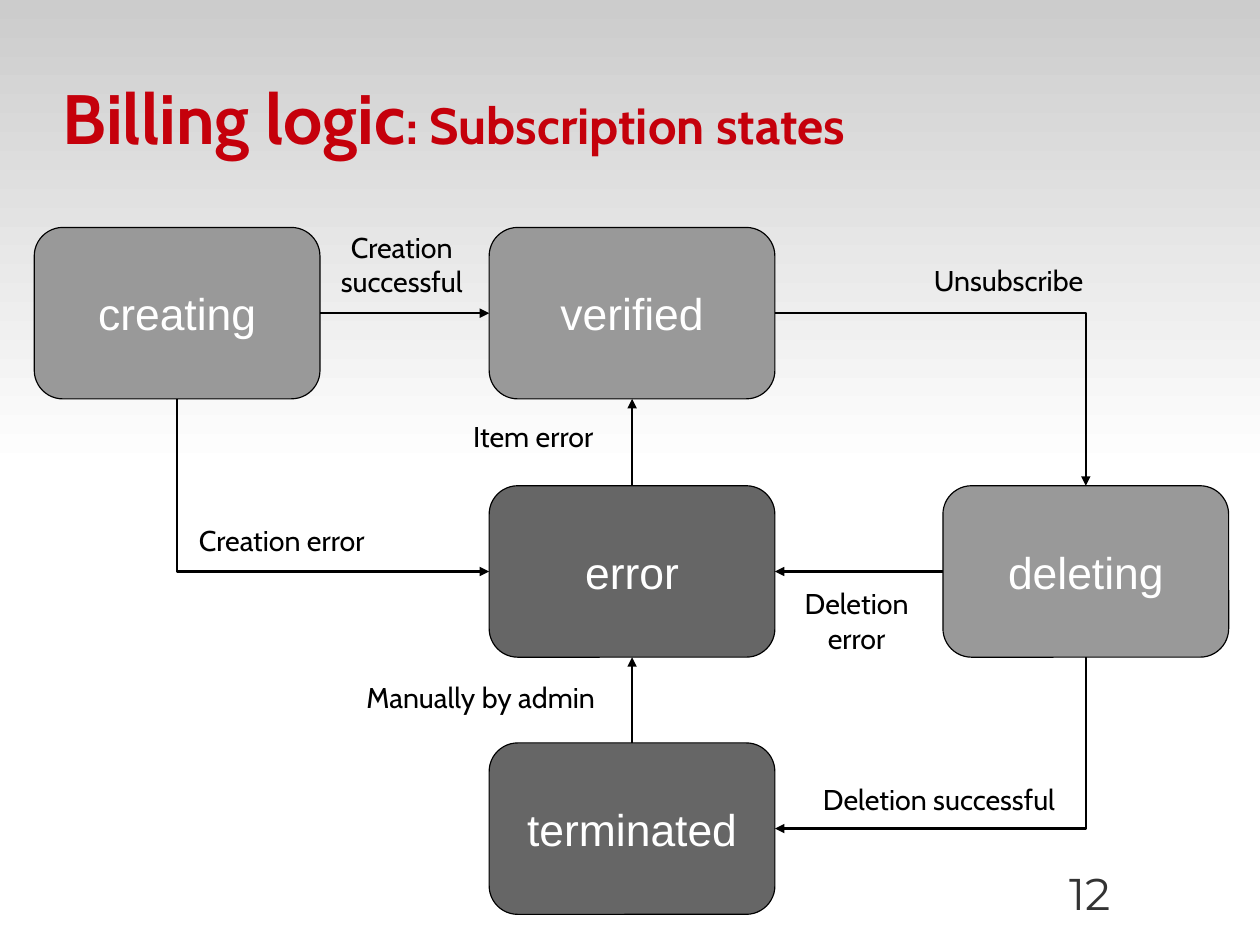
from pptx import Presentation
from pptx.dml.color import RGBColor
from pptx.enum.shapes import MSO_CONNECTOR, MSO_SHAPE
from pptx.enum.text import MSO_ANCHOR, PP_ALIGN
from pptx.oxml.ns import qn
from pptx.util import Inches, Pt
from lxml import etree

ROUNDED, RECTANGLE = MSO_SHAPE.ROUNDED_RECTANGLE, MSO_SHAPE.RECTANGLE
STRAIGHT, ELBOW = MSO_CONNECTOR.STRAIGHT, MSO_CONNECTOR.ELBOW
MIDDLE, TOP_ANCHOR = MSO_ANCHOR.MIDDLE, MSO_ANCHOR.TOP
LEFT_ALIGN, CENTER = PP_ALIGN.LEFT, PP_ALIGN.CENTER
TOP, LEFT, BOTTOM, RIGHT = range(4)
CM_PER_INCH = 2.54
STATE_WIDTH, STATE_HEIGHT = 2.5, 1.5


def color(value):
    return RGBColor.from_string(value)


def write(paragraph, text, font, size, ink, align, bold=False):
    paragraph.alignment = align
    run = paragraph.add_run()
    run.text = text
    run.font.name = font
    run.font.size = Pt(size)
    run.font.bold = bold
    run.font.color.rgb = color(ink)


prs = Presentation()
prs.slide_width, prs.slide_height = Inches(28 / CM_PER_INCH), Inches(21 / CM_PER_INCH)
slide = prs.slides.add_slide(prs.slide_layouts[5])
shapes = slide.shapes

backdrop = shapes.add_shape(RECTANGLE, 0, 0, prs.slide_width, Inches(4.13))
backdrop.shadow.inherit = False
backdrop.line.fill.background()
backdrop.fill.gradient()
backdrop.fill.gradient_angle = 270
for stop, position, shade in zip(backdrop.fill.gradient_stops, (0, 1), ("CCCCCC", "FFFFFF")):
    stop.position = position
    stop.color.rgb = color(shade)
shapes._spTree.insert(2, backdrop._element)

title = shapes.title
title.left, title.top = Inches(0.55), Inches(0.33)
title.width, title.height = Inches(9.92), Inches(1.38)
heading = title.text_frame
heading.vertical_anchor = MIDDLE
heading.margin_left = heading.margin_right = heading.margin_top = heading.margin_bottom = 0
for text, size in (("Billing logic", 44), (": Subscription states", 32)):
    write(heading.paragraphs[0], text, "Cabin", size, "C5000B", LEFT_ALIGN, True)

states = {}
for name, left, top, shade in (
    ("creating", 0.3, 1.99, "999999"),
    ("deleting", 8.25, 4.25, "999999"),
    ("verified", 4.28, 1.99, "999999"),
    ("error", 4.28, 4.25, "666666"),
    ("terminated", 4.28, 6.5, "666666"),
):
    state = shapes.add_shape(ROUNDED, Inches(left), Inches(top), Inches(STATE_WIDTH), Inches(STATE_HEIGHT))
    state.shadow.inherit = False
    state.fill.solid()
    state.fill.fore_color.rgb = color(shade)
    state.line.color.rgb = color("000000")
    state.line.width = Pt(0)
    state.text_frame.word_wrap = False
    state.text_frame.vertical_anchor = MIDDLE
    write(state.text_frame.paragraphs[0], name, "Arial", 28, "FFFFFF", CENTER)
    states[name] = state

for kind, start, start_side, end, end_side, arrow_end in (
    (STRAIGHT, "creating", RIGHT, "verified", LEFT, "tailEnd"),
    (ELBOW, "error", LEFT, "creating", BOTTOM, "headEnd"),
    (ELBOW, "terminated", RIGHT, "deleting", BOTTOM, "headEnd"),
    (STRAIGHT, "terminated", TOP, "error", BOTTOM, "tailEnd"),
    (STRAIGHT, "error", TOP, "verified", BOTTOM, "tailEnd"),
    (STRAIGHT, "deleting", LEFT, "error", RIGHT, "tailEnd"),
    (ELBOW, "verified", RIGHT, "deleting", TOP, "tailEnd"),
):
    transition = shapes.add_connector(kind, 0, 0, 0, 0)
    transition.begin_connect(states[start], start_side)
    transition.end_connect(states[end], end_side)
    transition.line.color.rgb = color("000000")
    transition.line.width = Pt(1.45)
    properties = transition._element.spPr
    if kind == ELBOW:
        properties.find(qn("a:prstGeom")).set("prst", "bentConnector2")
    etree.SubElement(properties.find(qn("a:ln")), qn("a:" + arrow_end), type="triangle")
    etree.SubElement(properties, qn("a:effectLst"))

for lines, left, top, width, height in (
    (["Item error"], 3.5, 3.62, 2.33, 0.44),
    (["Unsubscribe"], 7.66, 2.25, 2.33, 0.44),
    (["Manually by admin"], 3.04, 5.9, 2.33, 0.78),
    (["Creation error"], 1.3, 4.53, 2.33, 0.44),
    (["Deletion", "error"], 6.33, 5.08, 2.33, 0.78),
    (["Deletion successful"], 6.84, 6.79, 2.75, 0.44),
    (["Creation", "successful"], 2.35, 1.96, 2.33, 0.78),
):
    label = shapes.add_textbox(Inches(left), Inches(top), Inches(width), Inches(height)).text_frame
    label.word_wrap = True
    label.vertical_anchor = TOP_ANCHOR
    for index, line in enumerate(lines):
        paragraph = label.add_paragraph() if index else label.paragraphs[0]
        write(paragraph, line, "Cabin", 18, "000000", CENTER)

page_number = shapes.add_textbox(Inches(8.25), Inches(7.53), Inches(2.57), Inches(0.57)).text_frame
page_number.word_wrap = True
page_number.vertical_anchor = MIDDLE
page_number.margin_left = page_number.margin_right = page_number.margin_top = page_number.margin_bottom = 0
write(page_number.paragraphs[0], "12", "Montserrat", 28, "333333", CENTER)

prs.save("out.pptx")
